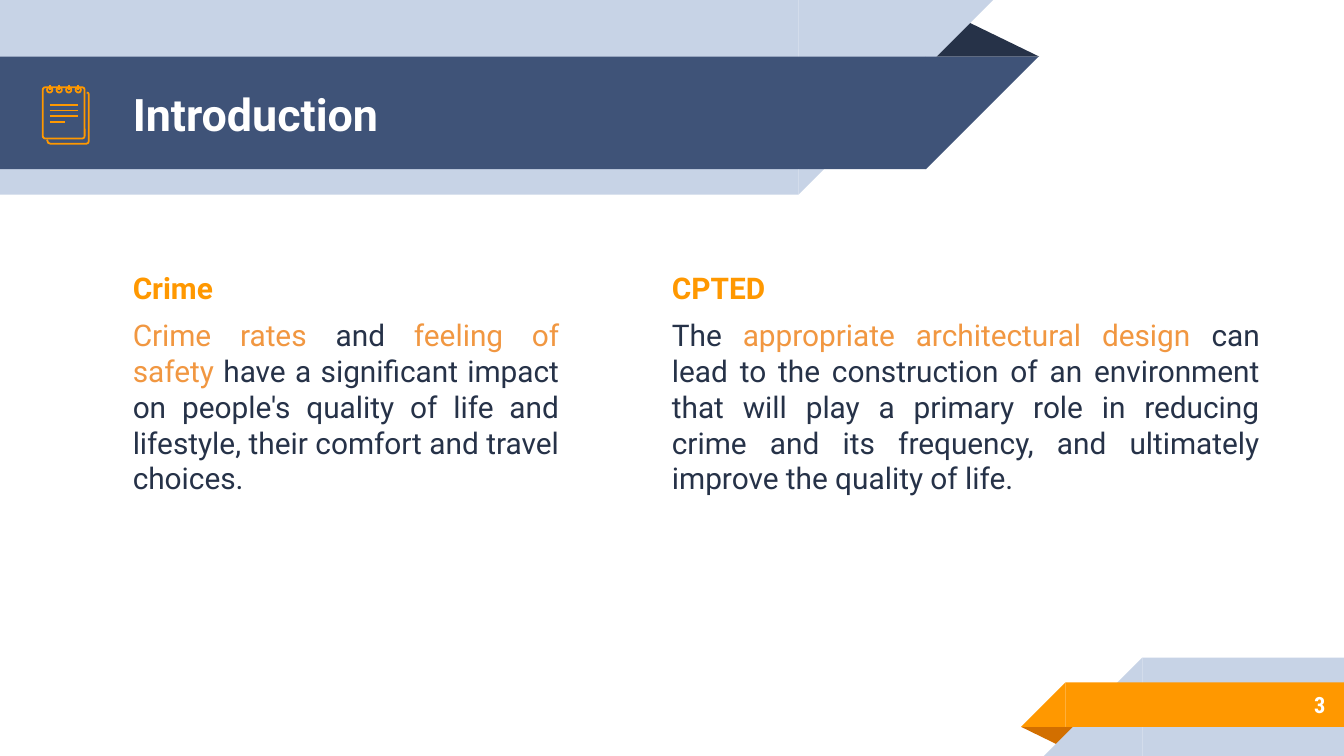
import pptx
import pptx.util
import pptx.dml.color
import pptx.enum.shapes
import pptx.enum.text
import pptx.oxml

Cm = pptx.util.Cm
Pt = pptx.util.Pt
RGBColor = pptx.dml.color.RGBColor
SHAPE = pptx.enum.shapes.MSO_SHAPE
ALIGN = pptx.enum.text.PP_ALIGN
ANCHOR = pptx.enum.text.MSO_ANCHOR

NAVY = RGBColor(0x26, 0x32, 0x48)
BLUE = RGBColor(0x3F, 0x53, 0x78)
PALE = RGBColor(0xC7, 0xD3, 0xE6)
ORANGE = RGBColor(0xFF, 0x98, 0x00)
RUST = RGBColor(0xD2, 0x6F, 0x00)
AMBER = RGBColor(0xF1, 0x97, 0x41)
WHITE = RGBColor(0xFF, 0xFF, 0xFF)

SLIDE_W, SLIDE_H = 25.4, 14.29
TITLE = "Introduction"
PAGE_NUMBER = "3"
COLUMNS = [
    ((2.26, 4.85, 8.56, 4.88), "Crime", [
        ("Crime rates ", AMBER),
        ("and ", NAVY),
        ("feeling of safety ", AMBER),
        ("have a significant impact on people's quality of life and lifestyle, "
         "their comfort and travel choices.", NAVY),
    ]),
    ((12.45, 4.85, 11.61, 5.54), "CPTED", [
        ("The ", NAVY),
        ("appropriate architectural design ", AMBER),
        ("can lead to the construction of an environment that will play a primary role "
         "in reducing crime and its frequency, and ultimately improve the quality of life.", NAVY),
    ]),
]
FOLDS = {"top": ((17.48, 0.36, 2.16, 0.71), NAVY, 0),
         "bottom": ((19.3, 13.74, 1.09, 0.36), RUST, 180)}
TOP_BANDS = [(15.09, 0, 3.68, PALE), (17.5, 1.07, 2.13, BLUE)]
BOTTOM_BANDS = [(21.59, 12.43, 1.86, PALE), (20.14, 12.9, 0.84, ORANGE)]
RING_X = [0.94 + 0.18 * i for i in range(4)]
WRITING = [(1.98, 1.47), (2.09, 1.47), (2.2, 1.47), (2.31, 1.22)]
BACK_PAGE = [(0.89, 2.64), (0.91, 2.7), (0.96, 2.72), (1.63, 2.72),
             (1.67, 2.7), (1.68, 2.66), (1.68, 1.79), (1.67, 1.76), (1.64, 1.75)]

deck = pptx.Presentation()
deck.slide_width, deck.slide_height = Cm(SLIDE_W), Cm(SLIDE_H)
slide = deck.slides.add_slide(deck.slide_layouts[5])
shapes = slide.shapes


def add_filled(preset, box, color, rotation=0, mirrored=False):
    piece = shapes.add_shape(preset, *map(Cm, box))
    piece.shadow.inherit = False
    piece.fill.solid()
    piece.fill.fore_color.rgb = color
    piece.line.fill.background()
    piece.rotation = rotation
    if mirrored:
        piece.element.spPr.xfrm.set("flipH", "1")
    return piece


def add_fold(name):
    box, color, rotation = FOLDS[name]
    add_filled(SHAPE.ISOSCELES_TRIANGLE, box, color, rotation).adjustments[0] = 0.324


def outline(piece):
    piece.shadow.inherit = False
    piece.fill.background()
    piece.line.color.rgb = ORANGE
    piece.line.width = Pt(0.96)


def add_stroke(*ends):
    stroke = shapes.add_connector(pptx.enum.shapes.MSO_CONNECTOR.STRAIGHT, *map(Cm, ends))
    stroke.line.color.rgb = ORANGE
    stroke.line.width = Pt(0.96)
    stroke.element.spPr.append(pptx.oxml.parse_xml(
        '<a:effectLst xmlns:a="http://schemas.openxmlformats.org/drawingml/2006/main"/>'))


def set_frame(holder, anchor):
    frame = holder.text_frame
    frame.word_wrap = True
    frame.vertical_anchor = anchor
    frame.margin_left = frame.margin_right = frame.margin_top = frame.margin_bottom = Cm(0.25)
    return frame


def add_run(paragraph, words, size, color, bold=False, font="Roboto"):
    run = paragraph.add_run()
    run.text = words
    run.font.name, run.font.size, run.font.bold = font, Pt(size), bold
    run.font.color.rgb = color


add_fold("top")
for width, top, height, color in TOP_BANDS:
    add_filled(SHAPE.RECTANGLE, (0, top, width, height), color)
    add_filled(SHAPE.RIGHT_TRIANGLE, (width, top, height, height), color, 180, True)
add_fold("bottom")
for left, top, height, color in BOTTOM_BANDS:
    add_filled(SHAPE.RECTANGLE, (left, top, SLIDE_W - left, height), color)
    add_filled(SHAPE.RIGHT_TRIANGLE, (left - height, top, height, height), color, 0, True)

heading = shapes.title
heading.left, heading.top, heading.width, heading.height = map(Cm, (2.26, 1.09, 14.61, 2.13))
heading.element.getparent().append(heading.element)
heading_line = set_frame(heading, ANCHOR.MIDDLE).paragraphs[0]
heading_line.alignment = ALIGN.LEFT
add_run(heading_line, TITLE, 24, WHITE, True)

for box, topic, statement in COLUMNS:
    column = set_frame(shapes.add_textbox(*map(Cm, box)), ANCHOR.TOP)
    add_run(column.paragraphs[0], topic, 16, ORANGE, True)
    body = column.add_paragraph()
    body.alignment = ALIGN.JUSTIFY
    body.space_before = Pt(6)
    for words, color in statement:
        add_run(body, words, 16, color)

back_page = shapes.build_freeform(*map(Cm, BACK_PAGE[0]))
back_page.add_line_segments([(Cm(x), Cm(y)) for x, y in BACK_PAGE[1:]], close=False)
outline(back_page.convert_to_shape())
front_page = shapes.add_shape(SHAPE.ROUNDED_RECTANGLE, *map(Cm, (0.81, 1.65, 0.79, 0.97)))
front_page.adjustments[0] = 0.06
outline(front_page)
for x in RING_X:
    outline(shapes.add_shape(SHAPE.OVAL, *map(Cm, (x - 0.05, 1.65, 0.1, 0.1))))
    add_stroke(x, 1.6, x, 1.7)
for y, right in WRITING:
    add_stroke(0.94, y, right, y)

number = set_frame(shapes.add_textbox(*map(Cm, (21.16, 12.88, 4.14, 0.89))), ANCHOR.MIDDLE)
number.paragraphs[0].alignment = ALIGN.RIGHT
add_run(number.paragraphs[0], PAGE_NUMBER, 12, WHITE, True, "Roboto Condensed")

deck.save("out.pptx")
